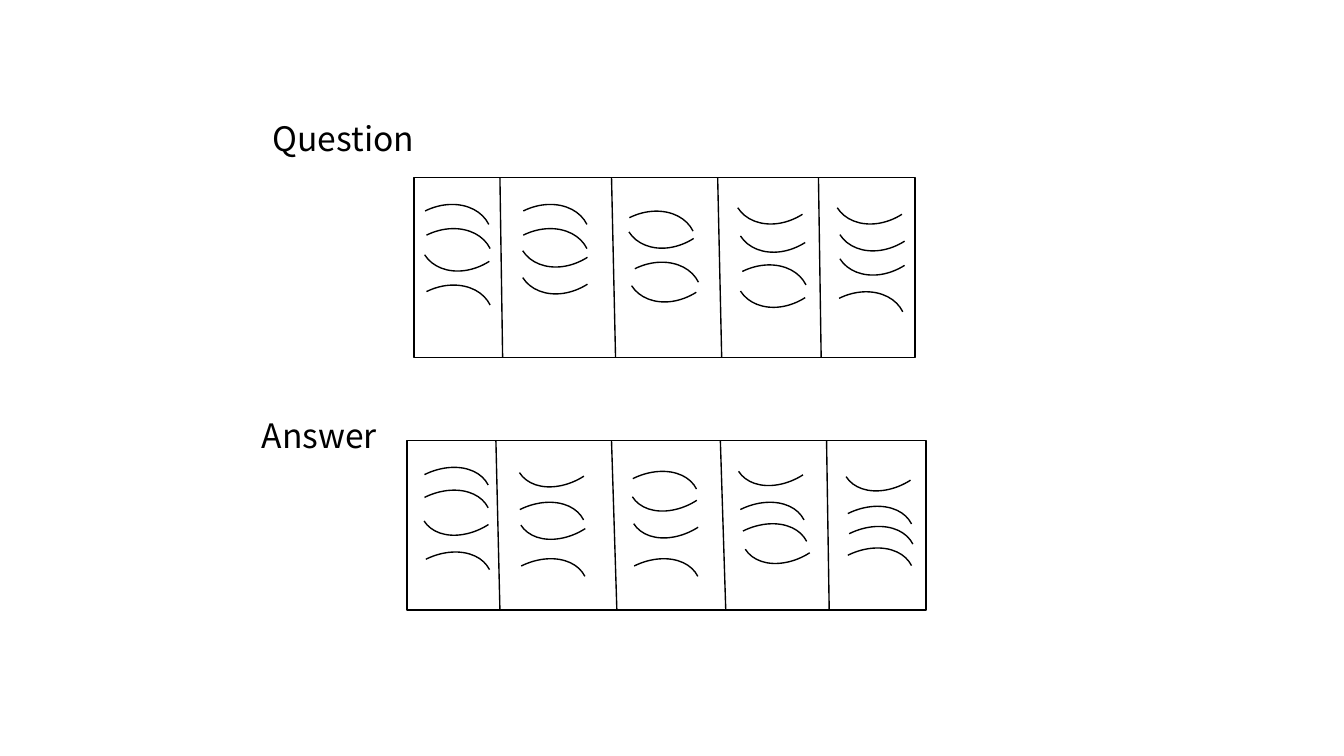
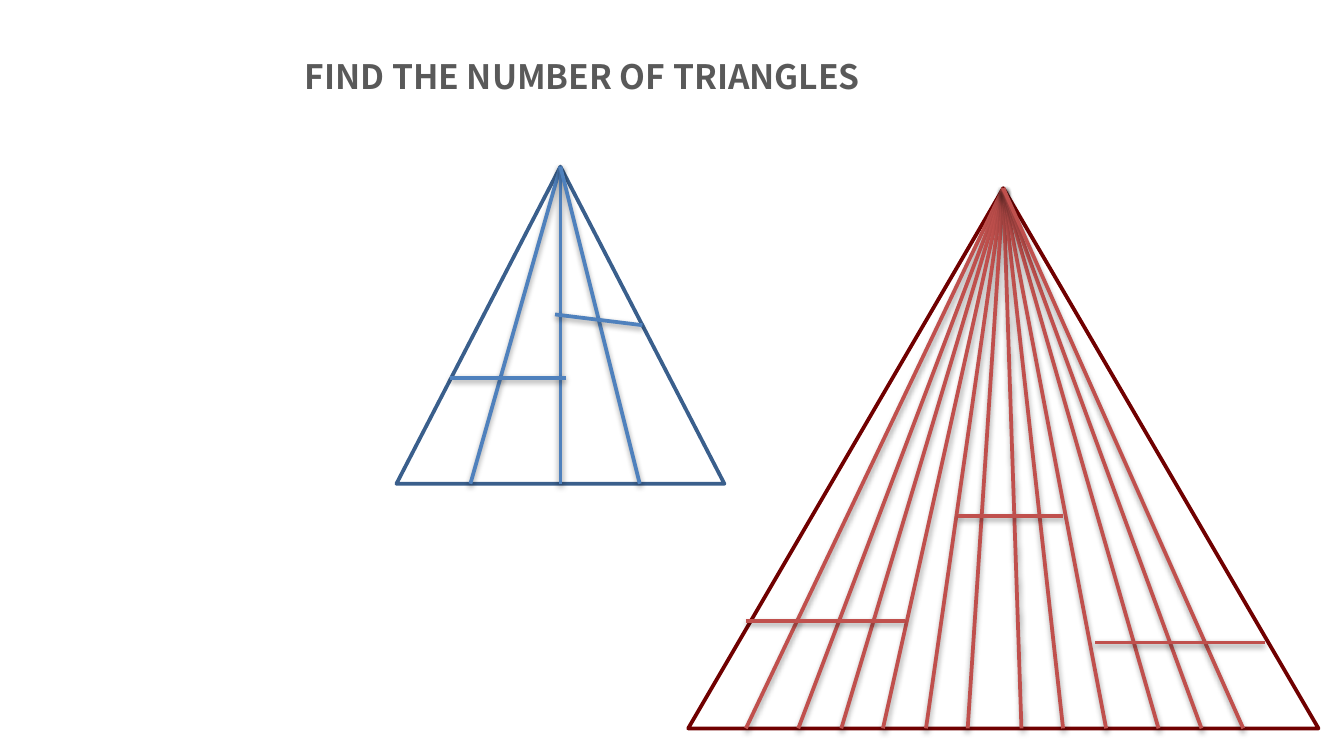
from pptx import Presentation
from pptx.dml.color import RGBColor
from pptx.enum.shapes import MSO_CONNECTOR as CONNECTOR, MSO_SHAPE as SHAPE
from pptx.enum.text import MSO_AUTO_SIZE as AUTO_SIZE
from pptx.oxml import parse_xml
from pptx.oxml.ns import qn
from pptx.util import Inches, Pt
from lxml import etree

FONT = "Noto Sans CJK KR"
BLACK = "000000"
GREY = "595959"
BLUE = "4F81BD"
RED = "C0504D"
DRAWING = "http://schemas.openxmlformats.org/drawingml/2006/main"
NO_EFFECT = f'<a:effectLst xmlns:a="{DRAWING}"/>'
SOFT_SHADOW = (
    f'<a:effectLst xmlns:a="{DRAWING}">'
    '<a:outerShdw blurRad="40000" dist="20000" dir="5400000" rotWithShape="0">'
    '<a:srgbClr val="000000"><a:alpha val="38000"/></a:srgbClr>'
    '</a:outerShdw></a:effectLst>'
)


def add_line(shapes, start, end, colour, width, effect):
    line = shapes.add_connector(CONNECTOR.STRAIGHT, *[Inches(v) for v in start + end])
    line.line.color.rgb = RGBColor.from_string(colour)
    line.line.width = Pt(width)
    line._element.spPr.append(parse_xml(effect))


def add_label(page, left, top, width, text, colour, bold):
    box = page.shapes.add_textbox(Inches(left), Inches(top), Inches(width), Inches(0.4))
    frame = box.text_frame
    frame.text = text
    frame.word_wrap = True
    frame.auto_size = AUTO_SIZE.SHAPE_TO_FIT_TEXT
    font = frame.paragraphs[0].runs[0].font
    font.name = FONT
    font.size = Pt(18)
    font.bold = bold
    font.color.rgb = RGBColor.from_string(colour)


deck = Presentation()
deck.slide_width = Inches(10)
deck.slide_height = Inches(5.625)
blank = deck.slide_layouts[6]

CAP, CUP = 333.6, 147.5
panels = [
    {
        "frame": (3.08, 1.32, 3.73, 1.34),
        "arc": (0.38, 0.3),
        "dividers": [(3.72, 3.74), (4.55, 4.58), (5.34, 5.37), (6.09, 6.11)],
        "arcs": [
            (4.73, 1.6, CUP), (4.73, 1.52, CAP), (4.77, 1.9, CAP), (4.75, 2, CUP),
            (3.94, 1.47, CAP), (3.94, 1.65, CAP), (3.94, 1.74, CUP), (3.94, 1.94, CUP),
            (5.54, 1.42, CUP), (5.56, 1.63, CUP), (5.56, 2.04, CUP), (5.57, 1.92, CAP),
            (3.21, 1.47, CAP), (3.21, 1.77, CUP), (3.22, 1.65, CAP), (3.22, 2.07, CAP),
            (6.28, 1.42, CUP), (6.3, 1.62, CUP), (6.3, 1.8, CUP), (6.29, 2.12, CAP),
        ],
    },
    {
        "frame": (3.03, 3.28, 3.86, 1.26),
        "arc": (0.39, 0.28),
        "dividers": [(3.69, 3.72), (4.55, 4.59), (5.36, 5.4), (6.15, 6.17)],
        "arcs": [
            (3.2, 3.43, CAP), (3.2, 3.6, CAP), (3.2, 3.75, CUP), (3.21, 4.06, CAP),
            (3.91, 3.39, CUP), (3.91, 3.69, CAP), (3.92, 3.78, CUP), (3.92, 4.11, CAP),
            (4.75, 3.46, CAP), (4.75, 3.57, CUP), (4.76, 3.77, CUP), (4.76, 4.11, CAP),
            (5.54, 3.38, CUP), (5.55, 3.69, CAP), (5.57, 3.85, CAP), (5.59, 3.96, CUP),
            (6.34, 3.42, CUP), (6.35, 3.72, CAP), (6.36, 3.87, CAP), (6.35, 4.03, CAP),
        ],
    },
]

page = deck.slides.add_slide(blank)
for panel in panels:
    shapes = page.shapes.add_group_shape().shapes
    left, top, width, height = panel["frame"]
    outlines = [shapes.add_shape(SHAPE.RECTANGLE, *[Inches(v) for v in panel["frame"]])]
    for upper, lower in panel["dividers"]:
        add_line(shapes, (upper, top), (lower, top + height), BLACK, 0.75, NO_EFFECT)
    arc_width, arc_height = [Inches(v) for v in panel["arc"]]
    for arc_left, arc_top, angle in panel["arcs"]:
        x, y = Inches(arc_left), Inches(arc_top)
        builder = shapes.build_freeform(x, y)
        builder.add_line_segments([(x + arc_width, y + arc_height)], close=False)
        arc = builder.convert_to_shape()
        arc.rotation = angle
        segment = next(arc._element.iter(qn("a:lnTo")))
        curve = etree.Element(qn("a:arcTo"), wR=str(arc_width), hR=str(arc_height),
                              stAng="16200000", swAng="5400000")
        segment.getparent().replace(segment, curve)
        outlines.append(arc)
    for outline in outlines:
        outline.shadow.inherit = False
        outline.fill.background()
        outline.line.color.rgb = RGBColor.from_string(BLACK)
        outline.line.width = Pt(0.75)

add_label(page, 1.85, 3.04, 2.44, "Answer", BLACK, False)
add_label(page, 1.93, 0.83, 2.44, "Question", BLACK, False)

page = deck.slides.add_slide(blank)
fans = [
    ((2.95, 1.24, 2.44, 2.36), "3A5F8C", BLUE, [3.5, 4.17, 4.76]),
    ((5.12, 1.4, 4.69, 4.02), "700000", RED,
     [5.55, 5.94, 6.26, 6.57, 6.89, 7.2, 7.6, 7.91, 8.23, 8.62, 8.94, 9.25]),
]
for bounds, edge, colour, feet in fans:
    left, top, width, height = bounds
    triangle = page.shapes.add_shape(SHAPE.ISOSCELES_TRIANGLE, *[Inches(v) for v in bounds])
    triangle.shadow.inherit = False
    triangle.fill.background()
    triangle.line.color.rgb = RGBColor.from_string(edge)
    triangle.line.width = Pt(2)
    for foot in feet:
        add_line(page.shapes, (left + width / 2, top), (foot, top + height), colour, 2, SOFT_SHADOW)

add_label(page, 2.17, 0.37, 5.67, "FIND THE NUMBER OF TRIANGLES", GREY, True)

crossbars = [
    ((3.35, 2.81), (4.21, 2.81), BLUE),
    ((4.13, 2.34), (4.78, 2.42), BLUE),
    ((5.55, 4.62), (6.73, 4.62), RED),
    ((7.13, 3.84), (7.91, 3.84), RED),
    ((8.15, 4.78), (9.41, 4.78), RED),
]
for start, end, colour in crossbars:
    add_line(page.shapes, start, end, colour, 2, SOFT_SHADOW)

deck.save("out.pptx")
